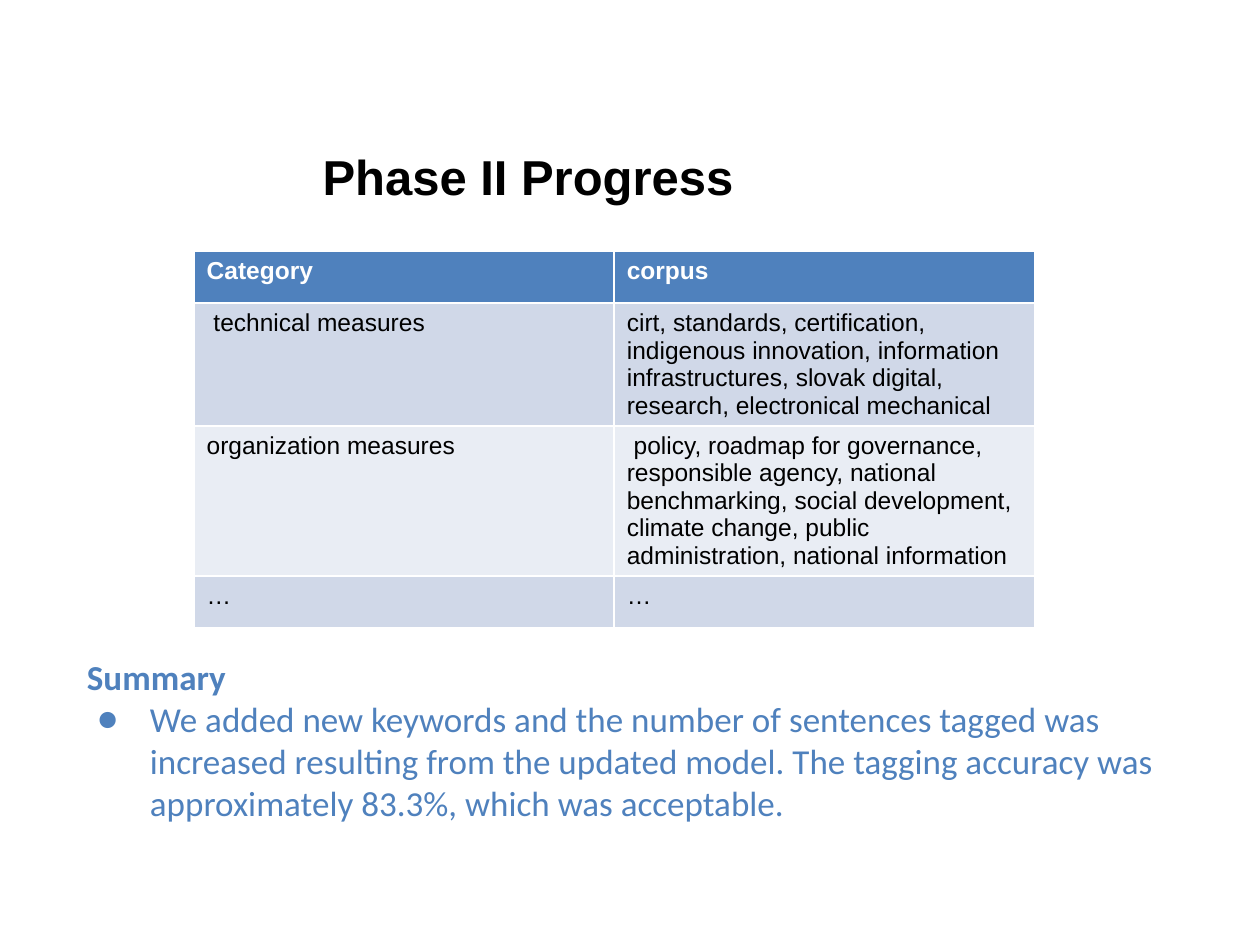
from pptx import Presentation
from pptx.dml.color import RGBColor as RGB
from pptx.enum.text import MSO_ANCHOR as ANCHOR, MSO_AUTO_SIZE as FIT, PP_ALIGN as ALIGN
from pptx.util import Inches, Pt
from lxml.etree import SubElement

NS = "{http://schemas.openxmlformats.org/drawingml/2006/main}"
COLORS = {"blue": "4F81BD", "band": "D0D8E8", "light": "E9EDF4",
          "black": "000000", "white": "FFFFFF"}


class Deck:
    """Holds the style and the current slide; lengths are shares of the slide."""

    def __init__(self, prs):
        self.prs = prs
        self.s = prs.slides.add_slide(prs.slide_layouts[0])

    def box(self, x, y, w, h):
        W, H = self.prs.slide_width, self.prs.slide_height
        return int(x * W), int(y * H), int(w * W), int(h * H)

    def style(self, p, size, font, color, bold=False, align=ALIGN.LEFT):
        p.alignment = align
        p.space_before = Pt(0)
        for r in p.runs:
            r.font.size, r.font.name, r.font.bold = Pt(size), font, bold
            r.font.color.rgb = RGB.from_string(COLORS[color])

    def frame(self, sp, share, anchor):
        sp.left, sp.top, sp.width, sp.height = self.box(*share)
        tf = sp.text_frame
        tf.word_wrap, tf.auto_size, tf.vertical_anchor = True, FIT.NONE, anchor
        tf.margin_left = tf.margin_right = tf.margin_top = tf.margin_bottom = Inches(0.1)
        return tf

    def title(self, text, share):
        tf = self.frame(self.s.shapes.title, share, ANCHOR.MIDDLE)
        tf.text = text
        self.style(tf.paragraphs[0], 28, "Arial", "black", True, ALIGN.CENTER)

    def bullet(self, p, indent, hang):
        pPr = p._p.get_or_add_pPr()
        pPr.set("marL", str(Inches(indent)))
        pPr.set("indent", str(Inches(-hang)))
        clr = SubElement(pPr, NS + "buClr")
        SubElement(clr, NS + "srgbClr", val=COLORS["blue"])
        SubElement(pPr, NS + "buFont", typeface="Calibri")
        SubElement(pPr, NS + "buChar", char="●")

    def body(self, heading, points, share):
        tf = self.frame(self.s.placeholders[1], share, ANCHOR.TOP)
        tf.text = heading
        self.style(tf.paragraphs[0], 20, "Calibri", "blue", True)
        for point in points:
            p = tf.add_paragraph()
            p.text = point
            self.style(p, 20, "Calibri", "blue")
            self.bullet(p, 0.5, 0.42)

    def table(self, rows, heights, share):
        # The default table style draws the white rules between cells
        table = self.s.shapes.add_table(len(rows), len(rows[0]), *self.box(*share)).table
        for i, (row, height) in enumerate(zip(rows, heights)):
            table.rows[i].height = Inches(height)
            head = i == 0
            fill = "blue" if head else ("light", "band")[i % 2]
            for j, text in enumerate(row):
                cell = table.cell(i, j)
                cell.text = text
                cell.fill.solid()
                cell.fill.fore_color.rgb = RGB.from_string(COLORS[fill])
                self.style(cell.text_frame.paragraphs[0], 14, "Arial",
                           "white" if head else "black", head)


prs = Presentation()
prs.slide_width, prs.slide_height = Inches(10), Inches(7.5)
deck = Deck(prs)

# Title
deck.title("Phase II Progress", (0.138, 0.107, 0.562, 0.159))

# Summary
deck.body("Summary", [
    "We added new keywords and the number of sentences tagged was increased "
    "resulting from the updated model. The tagging accuracy was approximately "
    "83.3%, which was acceptable."], (0.059, 0.68, 0.895, 0.46))

# Keyword table
deck.table([
    ("Category", "corpus"),
    (" technical measures",
     "cirt, standards, certification, indigenous innovation, information "
     "infrastructures, slovak digital, research, electronical mechanical"),
    ("organization measures ",
     " policy, roadmap for governance, responsible agency, national benchmarking, "
     "social development, climate change, public administration, national information"),
    ("…", "…"),
], (0.41, 0.41, 0.41, 0.41), (0.154, 0.266, 0.667, 0.22))

prs.save("out.pptx")
